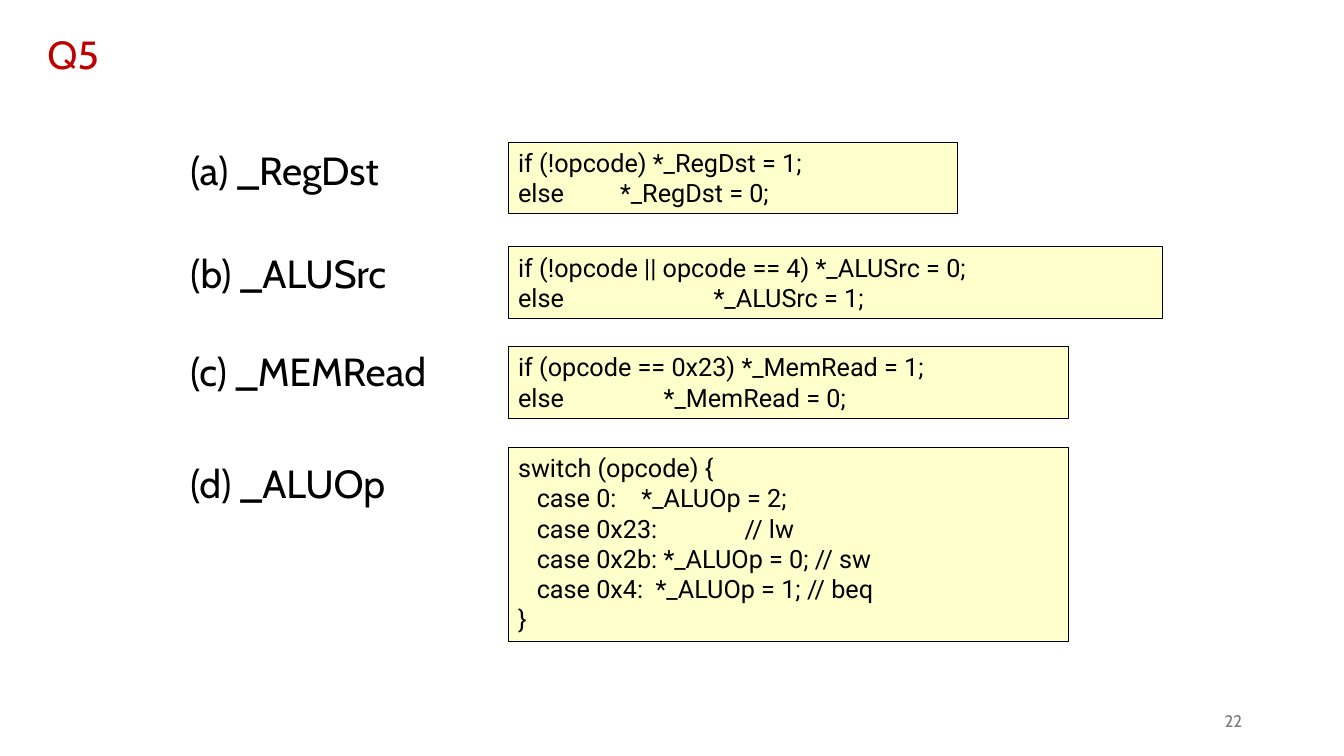
from pptx import Presentation
from pptx.dml.color import RGBColor
from pptx.enum.shapes import MSO_SHAPE
from pptx.enum.text import MSO_ANCHOR, PP_ALIGN
from pptx.util import Pt

PX = 9144  # EMU per px, 100 px to the inch
RECT = MSO_SHAPE.RECTANGLE
TOP, MIDDLE = MSO_ANCHOR.TOP, MSO_ANCHOR.MIDDLE
LEFT, CENTER, RIGHT = PP_ALIGN.LEFT, PP_ALIGN.CENTER, PP_ALIGN.RIGHT

TITLE = {"name": "Cabin", "size": Pt(28), "color": "C00000"}
LABEL = {"name": "Cabin", "size": Pt(28), "color": "000000"}
CODE = {"name": "Roboto", "size": Pt(18), "color": "000000"}
NUMBER = {"name": "Cabin", "size": Pt(12), "color": "797979"}

LABEL_X, LABEL_W, LABEL_H = 179, 277, 57
CODE_X = 504

# label, label top, code top, code width, code height, code
ANSWERS = [
    ("(a) _RegDst", 140, 141, 446, 71, [
        "if (!opcode) *_RegDst = 1;",
        "else         *_RegDst = 0;"]),
    ("(b) _ALUSrc", 242, 245, 649, 71, [
        "if (!opcode || opcode == 4) *_ALUSrc = 0;",
        "else                        *_ALUSrc = 1;"]),
    ("(c) _MEMRead", 340, 344, 556, 71, [
        "if (opcode == 0x23) *_MemRead = 1;",
        "else                *_MemRead = 0;"]),
    ("(d) _ALUOp", 451, 444, 556, 192, [
        "switch (opcode) {",
        "   case 0:    *_ALUOp = 2;",
        "   case 0x23:              // lw",
        "   case 0x2b: *_ALUOp = 0; // sw",
        "   case 0x4:  *_ALUOp = 1; // beq",
        "}"]),
]


def rgb(color):
    return RGBColor.from_string(color)


def emu(box):
    return [v * PX for v in box]


def write(tf, lines, style, align=LEFT, anchor=TOP):
    tf.word_wrap = True
    tf.vertical_anchor = anchor
    for i, line in enumerate(lines):
        p = tf.paragraphs[0] if i == 0 else tf.add_paragraph()
        p.alignment = align
        r = p.add_run()
        r.text = line
        for key, value in style.items():
            if key == "color":
                r.font.color.rgb = rgb(value)
            else:
                setattr(r.font, key, value)


def add_text(s, box, text, style, align=LEFT, anchor=TOP):
    sp = s.shapes.add_textbox(*emu(box))
    write(sp.text_frame, [text], style, align, anchor)


def add_code(s, box, lines):
    sp = s.shapes.add_shape(RECT, *emu(box))
    sp.shadow.inherit = False
    sp.fill.solid()
    sp.fill.fore_color.rgb = rgb("FFFFCC")
    sp.line.color.rgb = rgb("000000")
    sp.line.width = Pt(0.75)
    write(sp.text_frame, lines, CODE)


def add_answers(s):
    for label, label_y, code_y, code_w, code_h, lines in ANSWERS:
        add_text(s, (LABEL_X, label_y, LABEL_W, LABEL_H), label, LABEL)
        add_code(s, (CODE_X, code_y, code_w, code_h), lines)


def main():
    prs = Presentation()
    prs.slide_width, prs.slide_height = emu((1333, 750))
    s = prs.slides.add_slide(prs.slide_layouts[6])
    # Title
    add_text(s, (23, 25, 99, 57), "Q5", TITLE, CENTER)
    # Signal names with their code
    add_answers(s)
    # Slide number
    add_text(s, (942, 695, 300, 40), "22", NUMBER, RIGHT, MIDDLE)
    prs.save("out.pptx")


if __name__ == "__main__":
    main()
